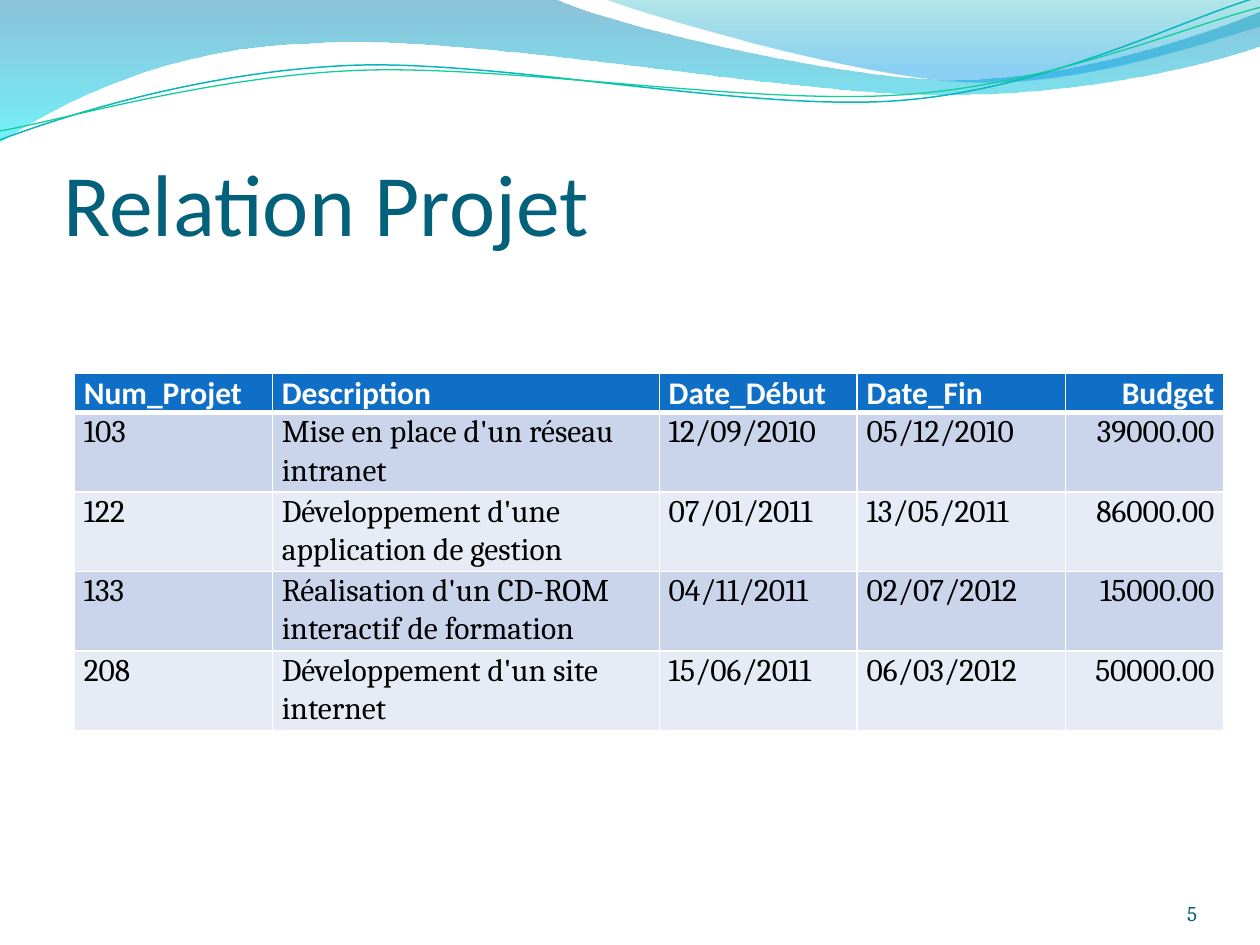
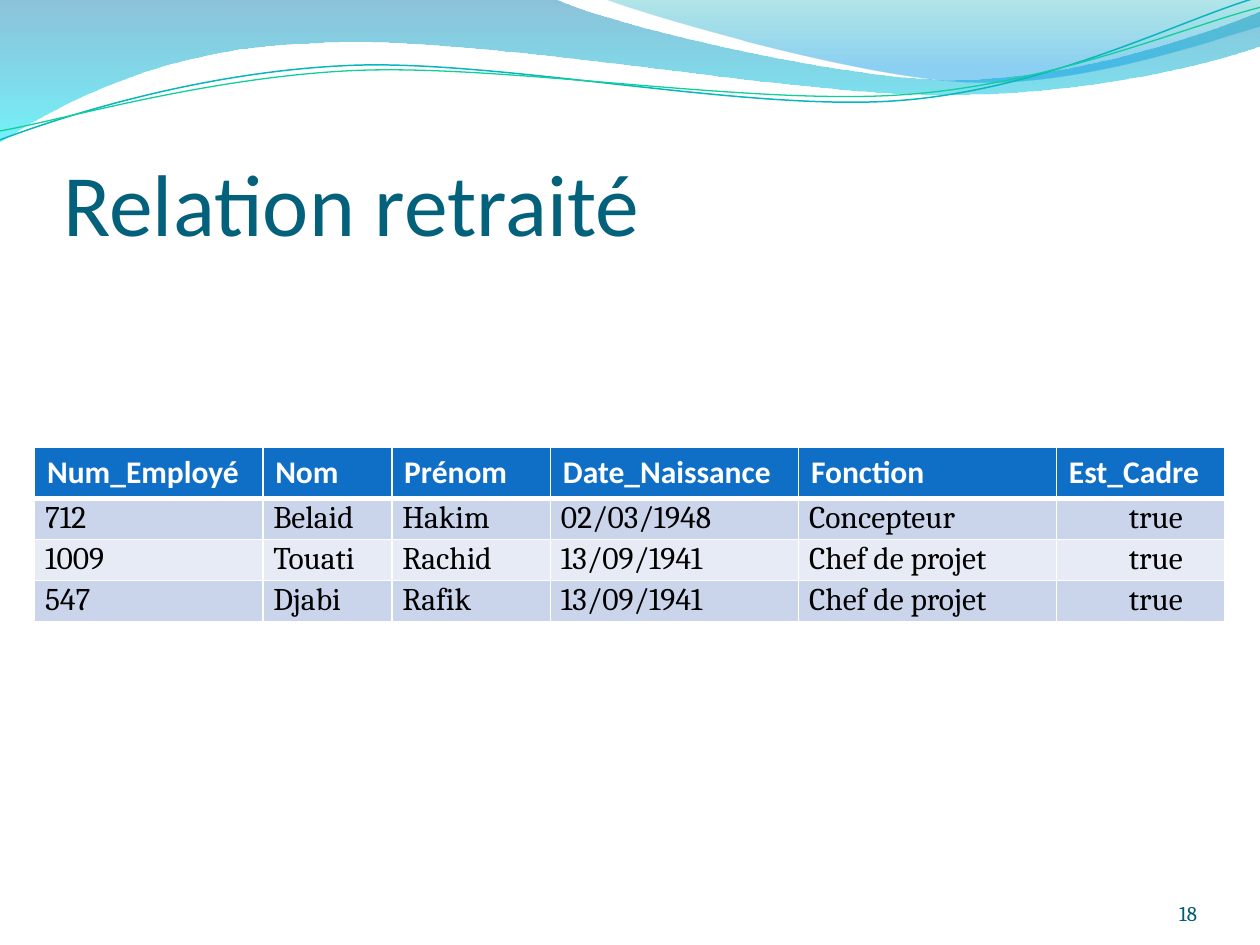
from lxml import etree
from pptx import Presentation
from pptx.dml.color import RGBColor
from pptx.enum.text import MSO_ANCHOR, PP_ALIGN
from pptx.oxml.ns import qn
from pptx.util import Cm, Pt

LEFT, RIGHT = PP_ALIGN.LEFT, PP_ALIGN.RIGHT
BOTTOM = MSO_ANCHOR.BOTTOM
HEAD, BODY = "Calibri", "Cambria"

COLORS = {
    "title": "04617B", "page": "035C75", "head": "0F6FC6",
    "odd": "CAD4EA", "even": "E6EBF5", "white": "FFFFFF", "black": "000000",
    "blue": "0079AD", "cyan": "00E9F7", "teal": "00ABB4", "sky": "0099E4",
    "sea": "09B6BE", "mint": "10CF9B",
}

# Outlines in cm: two numbers are a straight step, six are a Bezier curve.
BAND = [(0, 0), (11.18, -0.03),
        (12.09, 0.43, 16.87, 1.6, 19.25, 1.6),
        (21.67, 1.6, 24.33, 0.66, 25.4, 0.23), (25.43, 0.91),
        (24.97, 1.12, 22.1, 1.93, 18.95, 1.91),
        (15.8, 1.91, 9.7, 0.71, 6.53, 0.86),
        (3.28, 0.91, 1.17, 2.11, -0.03, 2.87), (0, 0)]
CORNER = [(12.17, -0.03), (12.93, 0.28, 17.32, 1.57, 19.53, 1.65),
          (21.74, 1.75, 24.41, 0.81, 25.4, 0.53), (25.4, 0),
          (12.17, -0.03)]
UPPER = [(0, 2.82), (1.22, 2.36, 4.01, 1.45, 7.04, 1.32),
         (10.03, 1.19, 15.06, 2.26, 18.11, 2.03),
         (21.16, 1.8, 23.83, 0.38, 25.35, -0.05)]
LOWER = [(0, 2.64), (1.19, 2.44, 4.17, 1.55, 7.19, 1.42),
         (10.24, 1.3, 15.16, 2.13, 18.21, 1.91),
         (21.23, 1.7, 23.9, 0.53, 25.4, 0.15)]

PROJECTS = [
    ("Num_Projet", "Description", "Date_Début", "Date_Fin", "Budget"),
    ("103", "Mise en place d'un réseau intranet",
     "12/09/2010", "05/12/2010", "39000.00"),
    ("122", "Développement d'une application de gestion",
     "07/01/2011", "13/05/2011", "86000.00"),
    ("133", "Réalisation d'un CD-ROM interactif de formation",
     "04/11/2011", "02/07/2012", "15000.00"),
    ("208", "Développement d'un site internet",
     "15/06/2011", "06/03/2012", "50000.00"),
]
RETIRED = [
    ("Num_Employé", "Nom", "Prénom", "Date_Naissance", "Fonction",
     "Est_Cadre"),
    ("712", "Belaid", "Hakim", "02/03/1948", "Concepteur", "true"),
    ("1009", "Touati", "Rachid", "13/09/1941", "Chef de projet", "true"),
    ("547", "Djabi", "Rafik", "13/09/1941", "Chef de projet", "true"),
]


def rgb(name):
    return RGBColor.from_string(COLORS[name])


def put(frame, text, size=18, font=BODY, color="black", bold=False,
        align=LEFT, space=None, indent=0):
    para = frame.paragraphs[0]
    para.alignment = align
    para.line_spacing = space
    if indent:
        para._p.get_or_add_pPr().set("marL", str(Cm(indent)))
    run = para.add_run()
    run.text = text
    run.font.size = Pt(size)
    run.font.name = font
    run.font.bold = bold
    run.font.color.rgb = rgb(color)


def add_text(slide, text, left, top, width, height, inset=0, **form):
    box = slide.shapes.add_textbox(Cm(left), Cm(top), Cm(width), Cm(height))
    frame = box.text_frame
    frame.word_wrap = True
    frame.margin_left = frame.margin_right = frame.margin_bottom = 0
    frame.margin_top = Cm(inset)
    frame.vertical_anchor = BOTTOM
    put(frame, text, **form)


def add_path(slide, path, close):
    """Build an outline from its nodes, then bend the curved steps."""
    nodes = [(Cm(step[-2]), Cm(step[-1])) for step in path]
    pen = slide.shapes.build_freeform(*nodes[0])
    pen.add_line_segments(nodes[1:], close=close)
    shape = pen.convert_to_shape()
    shape.shadow.inherit = False
    lines = list(shape._element.spPr.iter(qn("a:lnTo")))
    for line, step in zip(lines, path[1:]):
        if len(step) == 6:
            bend = etree.Element(qn("a:cubicBezTo"))
            for x, y in zip(step[::2], step[1::2]):
                etree.SubElement(bend, qn("a:pt"),
                                 x=str(Cm(x) - shape.left),
                                 y=str(Cm(y) - shape.top))
            line.getparent().replace(line, bend)
    return shape


def add_wave(slide, path, *stops):
    """Fill an outline downwards; a stop is (place, colour, opacity %)."""
    shape = add_path(slide, path, True)
    shape.line.fill.background()
    fill = shape.fill
    fill.gradient()
    fill.gradient_angle = 270
    for stop, (place, color, _) in zip(fill.gradient_stops, stops):
        stop.position = place
        stop.color.rgb = rgb(color)
    tones = list(shape._element.spPr.iter(qn("a:srgbClr")))
    for tone, (_, _, alpha) in zip(tones, stops):
        etree.SubElement(tone, qn("a:alpha"), val=str(alpha * 1000))


def add_curve(slide, path, color, width):
    shape = add_path(slide, path, False)
    shape.fill.background()
    shape.line.color.rgb = rgb(color)
    shape.line.width = Pt(width)


def add_edge(cell, side, width):
    edge = etree.SubElement(cell._tc.get_or_add_tcPr(), qn("a:ln" + side),
                            w=str(Pt(width)))
    fill = etree.SubElement(edge, qn("a:solidFill"))
    etree.SubElement(fill, qn("a:srgbClr"), val=COLORS["white"])


def fill_cell(cell, text, color, pad, **form):
    """Style one cell; pad is the side and the top margin in cm."""
    cell.margin_left = cell.margin_right = Cm(pad[0])
    cell.margin_top = cell.margin_bottom = Cm(pad[1])
    if color == "head":
        for side in "LRTB":
            add_edge(cell, side, 3 if side == "B" else 1)
        form.update(font=HEAD, color="white", bold=True)
    cell.fill.solid()
    cell.fill.fore_color.rgb = rgb(color)
    put(cell.text_frame, text, **form)


def add_grid(slide, data, left, top, cols, rows, head, body, last):
    """Draw a table; head, body and last hold the format of those cells."""
    frame = slide.shapes.add_table(len(data), len(cols), Cm(left), Cm(top),
                                   Cm(sum(cols)), Cm(sum(rows)))
    table = frame.table
    for col, width in zip(table.columns, cols):
        col.width = Cm(width)
    for row, height in zip(table.rows, rows):
        row.height = Cm(height)
    frame.width = frame.height = Cm(8.33)
    for r, line in enumerate(data):
        color = "head" if r == 0 else "odd" if r % 2 else "even"
        for c, text in enumerate(line):
            form = dict(head if r == 0 else body)
            if c == len(cols) - 1 and (r or "align" in last):
                form.update(last)
            fill_cell(table.cell(r, c), text, color, **form)


def add_page(deck, title, number):
    slide = deck.slides.add_slide(deck.slide_layouts[6])
    add_wave(slide, BAND, (0, "blue", 45), (1, "cyan", 55))
    add_wave(slide, CORNER, (0, "teal", 30), (0.8, "sky", 45))
    add_curve(slide, UPPER, "sea", 0.85)
    add_curve(slide, LOWER, "mint", 0.75)
    add_text(slide, title, 1.28, 1.95, 22.86, 3.17, inset=0.13,
             size=50, font=HEAD, color="title")
    add_text(slide, number, 22.01, 17.65, 2.12, 1.02,
             size=12, color="page", align=RIGHT)
    return slide


def main():
    deck = Presentation()
    deck.slide_width, deck.slide_height = Cm(25.4), Cm(19.05)
    tight = dict(pad=(0.19, 0), space=1.05)

    slide = add_page(deck, "Relation Projet", "5")
    add_grid(slide, PROJECTS, 1.5, 7.52, (3.99, 7.8, 3.99, 4.2, 3.19),
             [0.76] + [1.52] * 4, head=tight, body=tight,
             last=dict(align=RIGHT))

    slide = add_page(deck, "Relation retraité", "18")
    add_grid(slide, RETIRED, 0.7, 9.02, (4.6, 2.6, 3.2, 5, 5.2, 3.4),
             [0.83] * 4, head=dict(pad=(0.25, 0.13)),
             body=dict(tight, indent=0.02), last=dict(indent=1.27))

    deck.save("out.pptx")


if __name__ == "__main__":
    main()
